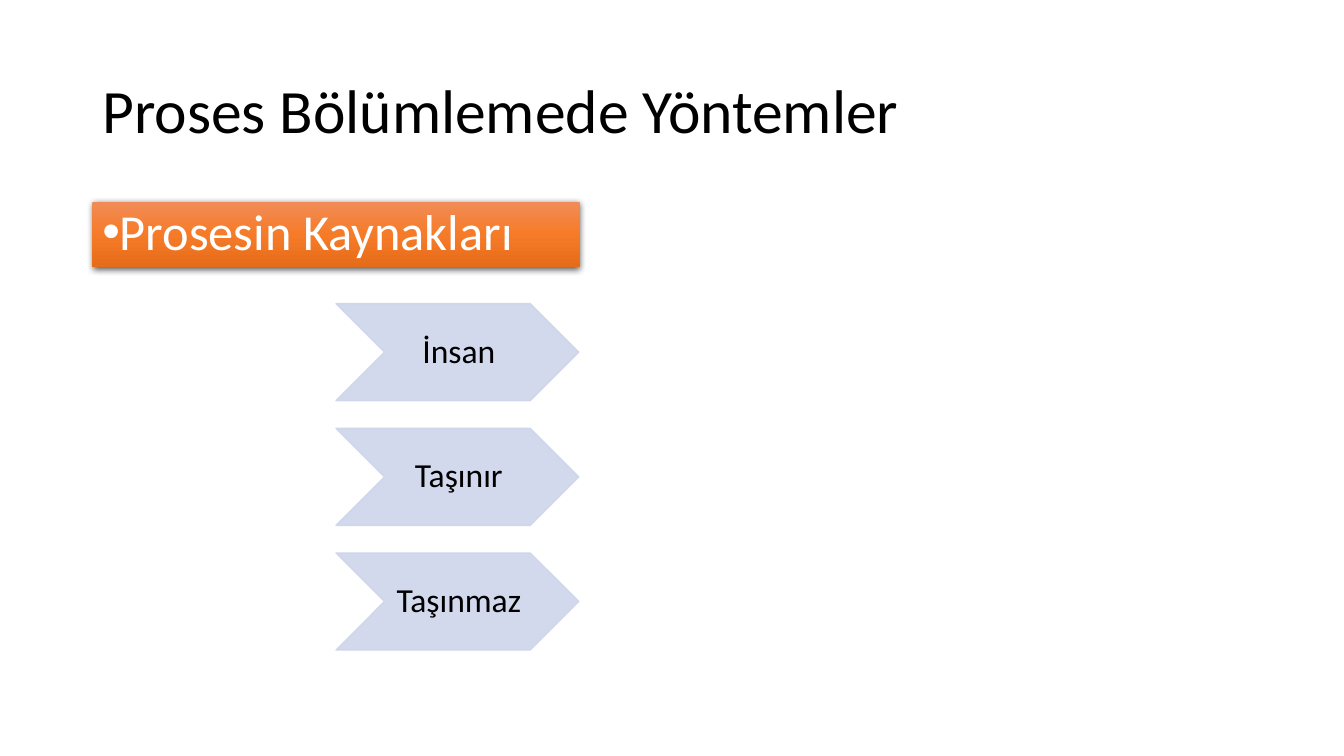
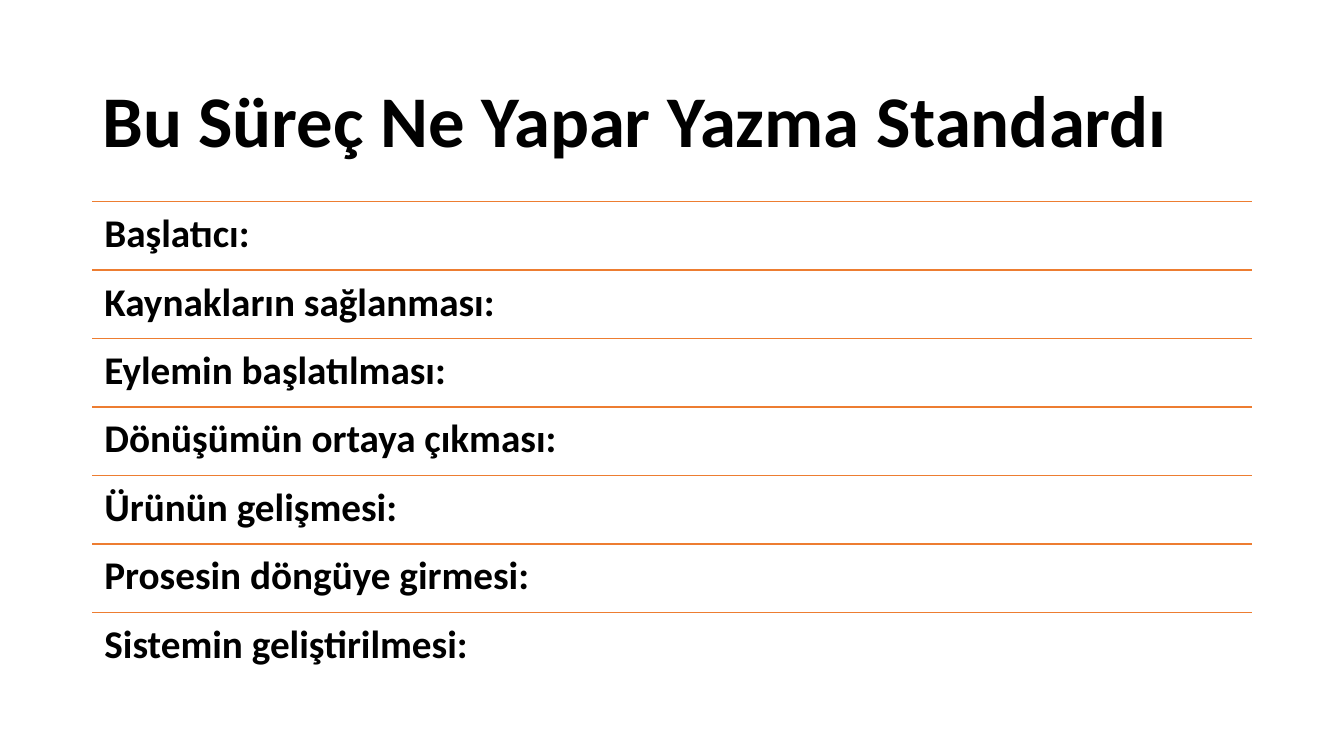
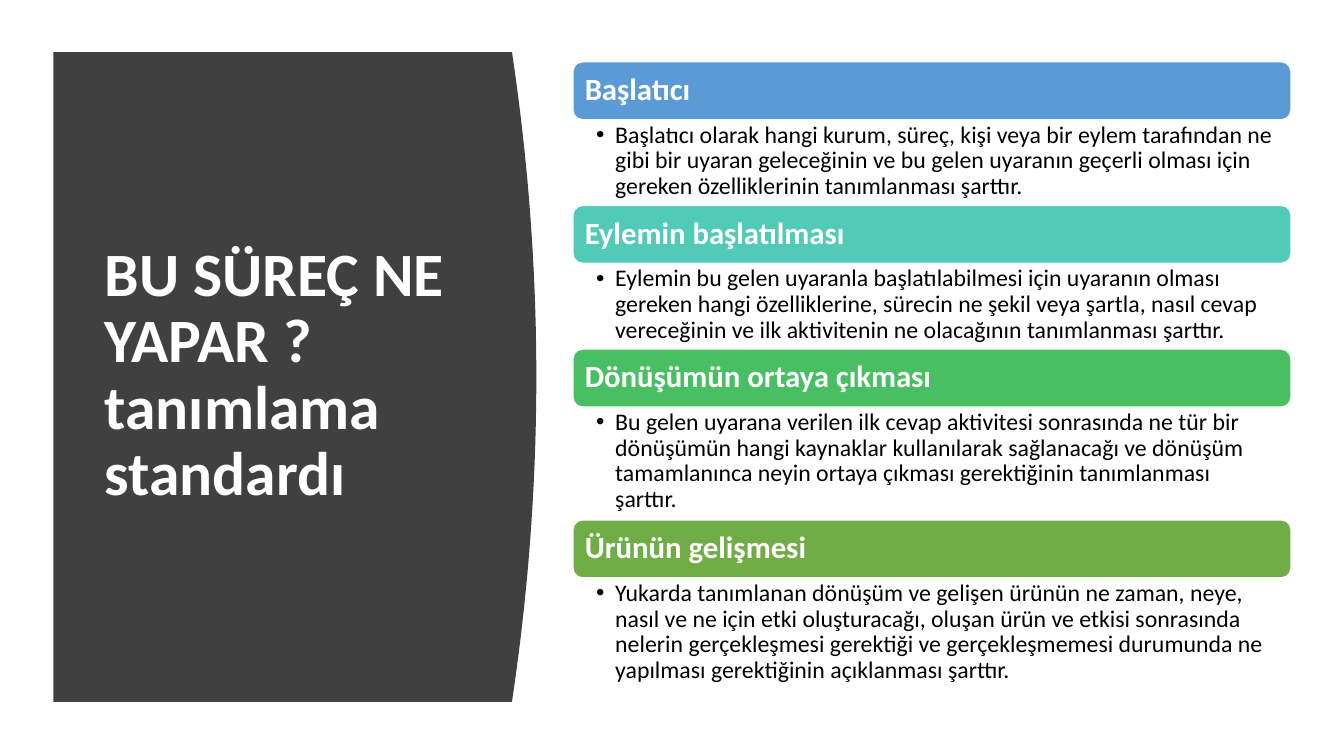
from dataclasses import dataclass
from lxml.etree import SubElement as Sub
from pptx import Presentation
from pptx.dml.color import RGBColor as RGB
from pptx.enum.shapes import MSO_CONNECTOR as Conn, MSO_SHAPE as Kind
from pptx.enum.text import MSO_ANCHOR as Anchor, PP_ALIGN as Align
from pptx.oxml.ns import qn
from pptx.util import Inches, Pt

# Grid: 160 columns by 90 rows of square cells
COLS, ROWS = 160, 90
CELL = Inches(1) // 12


@dataclass(frozen=True)
class Theme:
    font: str = "Calibri"
    ink: str = "000000"
    white: str = "FFFFFF"
    dark: str = "404040"
    rule: str = "ED7D31"
    pale: str = "CFD5EA"
    ramp: tuple = ("F18C57", "F67B28", "E56C19")
    cards: tuple = ("5B9BD5", "52CAB8", "49BF64", "70AD47")
    title: int = 44
    large: int = 52
    lead: int = 36
    row: int = 28
    step: int = 24
    head: int = 22
    body: int = 17


T = Theme()
LEFT, WIDE, TOP = 11, 138, 24  # shared content area

# Content
TITLES = (
    "Proses Bölümlemede Yöntemler",
    "Bu Süreç Ne Yapar Yazma Standardı",
    "BU SÜREÇ NE YAPAR ? tanımlama standardı",
)
LEAD = "Prosesin Kaynakları"
STEPS = ("İnsan", "Taşınır", "Taşınmaz")
ITEMS = (
    "Başlatıcı:",
    "Kaynakların sağlanması:",
    "Eylemin başlatılması:",
    "Dönüşümün ortaya çıkması:",
    "Ürünün gelişmesi:",
    "Prosesin döngüye girmesi:",
    "Sistemin geliştirilmesi:",
)
# Heading, number of text lines, text
CARDS = (
    ("Başlatıcı", 3,
     "Başlatıcı olarak hangi kurum, süreç, kişi veya bir eylem tarafından ne "
     "gibi bir uyaran geleceğinin ve bu gelen uyaranın geçerli olması için "
     "gereken özelliklerinin tanımlanması şarttır."),
    ("Eylemin başlatılması", 3,
     "Eylemin bu gelen uyaranla başlatılabilmesi için uyaranın olması "
     "gereken hangi özelliklerine, sürecin ne şekil veya şartla, nasıl cevap "
     "vereceğinin ve ilk aktivitenin ne olacağının tanımlanması şarttır."),
    ("Dönüşümün ortaya çıkması", 4,
     "Bu gelen uyarana verilen ilk cevap aktivitesi sonrasında ne tür bir "
     "dönüşümün hangi kaynaklar kullanılarak sağlanacağı ve dönüşüm "
     "tamamlanınca neyin ortaya çıkması gerektiğinin tanımlanması şarttır."),
    ("Ürünün gelişmesi", 4,
     "Yukarda tanımlanan dönüşüm ve gelişen ürünün ne zaman, neye, "
     "nasıl ve ne için etki oluşturacağı, oluşan ürün ve etkisi sonrasında "
     "nelerin gerçekleşmesi gerektiği ve gerçekleşmemesi durumunda ne "
     "yapılması gerektiğinin açıklanması şarttır."),
)


# Helpers
def cells(*nums):
    return [round(n * CELL) for n in nums]


def write(shape, text, size, color=T.ink, bold=False, mid=True,
          align=Align.LEFT, pads=(0.1, 0.05, 0.1, 0.05), bullet=None):
    """Set one paragraph; bullet is (margin, indent) in inches."""
    frame = shape.text_frame
    frame.word_wrap = True
    frame.vertical_anchor = Anchor.MIDDLE if mid else Anchor.TOP
    (frame.margin_left, frame.margin_top,
     frame.margin_right, frame.margin_bottom) = map(Inches, pads)
    para = frame.paragraphs[0]
    para.text, para.alignment, para.line_spacing = text, align, 0.9
    if bullet:
        props = para._p.get_or_add_pPr()
        for key, val in zip(("marL", "indent"), bullet):
            props.set(key, str(Inches(val)))
        Sub(props, qn("a:buFont"), typeface="Arial")
        Sub(props, qn("a:buChar"), char="•")
    font = para.font
    font.name, font.size, font.bold = T.font, Pt(size), bold
    font.color.rgb = RGB.from_string(color)


def label(slide, box, *args, **opts):
    write(slide.shapes.add_textbox(*cells(*box)), *args, **opts)


def paint(shape, fill, line=None):
    shape.shadow.inherit = False
    shape.fill.solid()
    shape.fill.fore_color.rgb = RGB.from_string(fill)
    if line:
        shape.line.color.rgb = RGB.from_string(line)
        shape.line.width = Pt(1)
    else:
        shape.line.fill.background()


def block(slide, kind, box, fill, line=None):
    shape = slide.shapes.add_shape(kind, *cells(*box))
    paint(shape, fill, line)
    return shape


def fade(shape, share):
    for tag in shape._element.spPr.iter(qn("a:srgbClr")):
        Sub(tag, qn("a:alpha"), val=str(share * 1000))


def glow(shape, ramp):
    """Give a shape a downward gradient and a soft shadow."""
    props = shape._element.spPr
    old = props.find(qn("a:solidFill"))
    grad = props.makeelement(qn("a:gradFill"), {"rotWithShape": "1"})
    props.replace(old, grad)
    stops = Sub(grad, qn("a:gsLst"))
    for i, color in enumerate(ramp):
        stop = Sub(stops, qn("a:gs"), pos=str(i * 100000 // (len(ramp) - 1)))
        Sub(stop, qn("a:srgbClr"), val=color)
    Sub(grad, qn("a:lin"), ang="5400000", scaled="0")
    cast = Sub(props.find(qn("a:effectLst")), qn("a:outerShdw"),
               blurRad=str(Pt(4.5)), dist=str(Pt(1.5)), dir="5400000",
               algn="ctr", rotWithShape="0")
    Sub(Sub(cast, qn("a:srgbClr"), val=T.ink), qn("a:alpha"), val="63000")


# Slides
def methods(slide):
    label(slide, (LEFT, 4.8, WIDE, 17.4), TITLES[0], T.title)
    lead = block(slide, Kind.RECTANGLE, (LEFT, TOP, 58, 7.8), T.ramp[0])
    glow(lead, T.ramp)
    write(lead, LEAD, T.lead, T.white, mid=False, bullet=(0, -0.25))
    for i, text in enumerate(STEPS):
        arrow = block(slide, Kind.CHEVRON,
                      (40, 36.15 + i * 14.84, 28.9, 11.55), T.pale, T.pale)
        fade(arrow, 90)
        write(arrow, text, T.step, align=Align.CENTER,
              pads=(0.03, 0.02, 0, 0.02))


def ruled(slide):
    label(slide, (LEFT, 7.3, WIDE, 14.9), TITLES[1], T.large, bold=True)
    high = 8.15
    for i, text in enumerate(ITEMS):
        y = TOP + i * high
        line = slide.shapes.add_connector(
            Conn.STRAIGHT, *cells(LEFT, y, LEFT + WIDE, y))
        line.line.color.rgb = RGB.from_string(T.rule)
        line.line.width = Pt(1)
        Sub(line._element.spPr, qn("a:effectLst"))
        label(slide, (LEFT, y, WIDE, high), text, T.row, bold=True,
              mid=False, pads=(0.12,) * 4)


def panel(slide):
    """Dark panel whose right side bulges as a parabola."""
    left, top, end, side, bulge, count = 6.35, 6.2, 83.55, 60.95, 2.9, 40
    curve = []
    for i in range(count + 1):
        t = i / count
        curve.append(cells(side + bulge * (1 - (2 * t - 1) ** 2),
                           top + (end - top) * t))
    path = slide.shapes.build_freeform(*cells(left, top))
    path.add_line_segments(curve + [cells(left, end)], close=True)
    paint(path.convert_to_shape(), T.dark)


def define(slide):
    panel(slide)
    label(slide, (11.3, 13.3, 44.9, 62.9), TITLES[2], T.title, T.white,
          bold=True)
    x, y, wide, high = 68.2, 7.35, 85.5, 6.9
    for (head, lines, text), color in zip(CARDS, T.cards):
        bar = block(slide, Kind.ROUNDED_RECTANGLE, (x, y, wide, high),
                    color, T.white)
        write(bar, head, T.head, T.white, bold=True, pads=(0.09,) * 4)
        deep = 0.48 + 3.24 * lines
        label(slide, (x, y + high, wide, deep), text, T.body, mid=False,
              pads=(0.23, 0.03, 0.17, 0.03), bullet=(0.19, -0.19))
        y += high + deep


def main():
    deck = Presentation()
    deck.slide_width, deck.slide_height = cells(COLS, ROWS)
    for draw in (methods, ruled, define):
        draw(deck.slides.add_slide(deck.slide_layouts[6]))
    deck.save("out.pptx")


if __name__ == "__main__":
    main()
